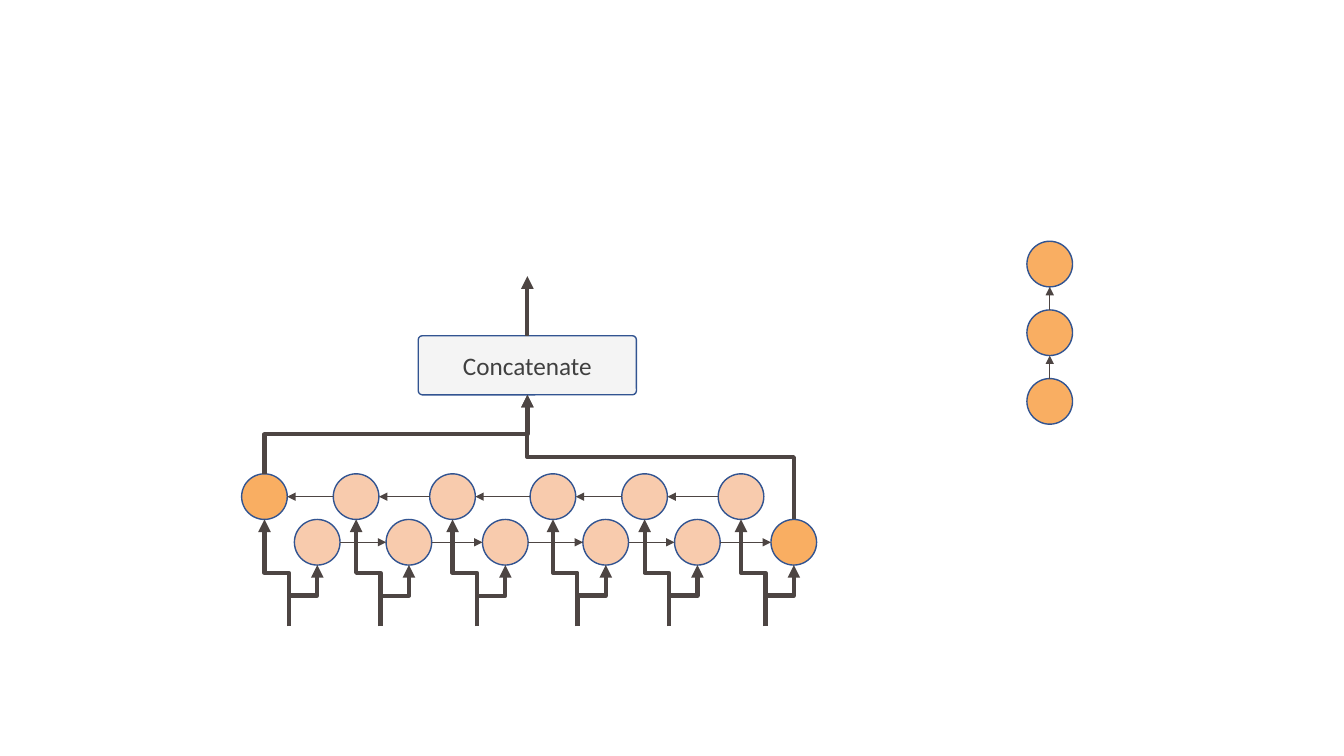
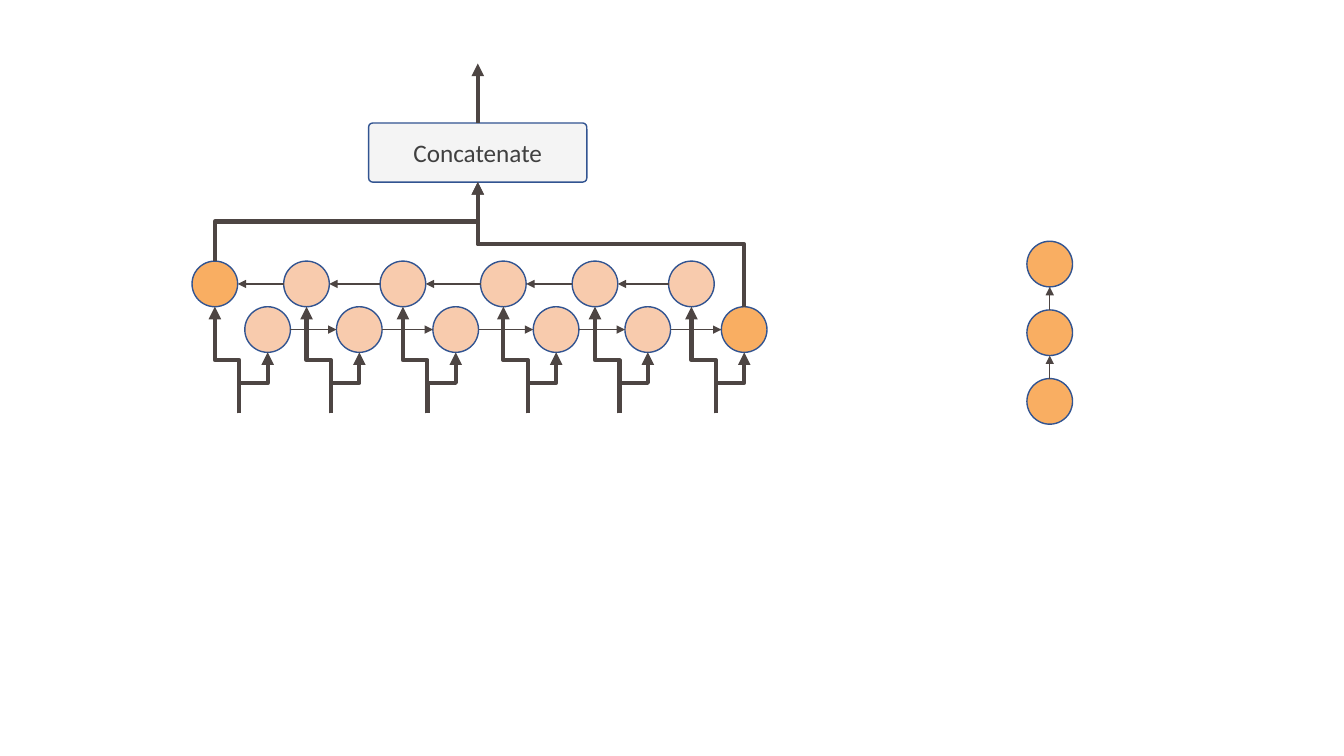
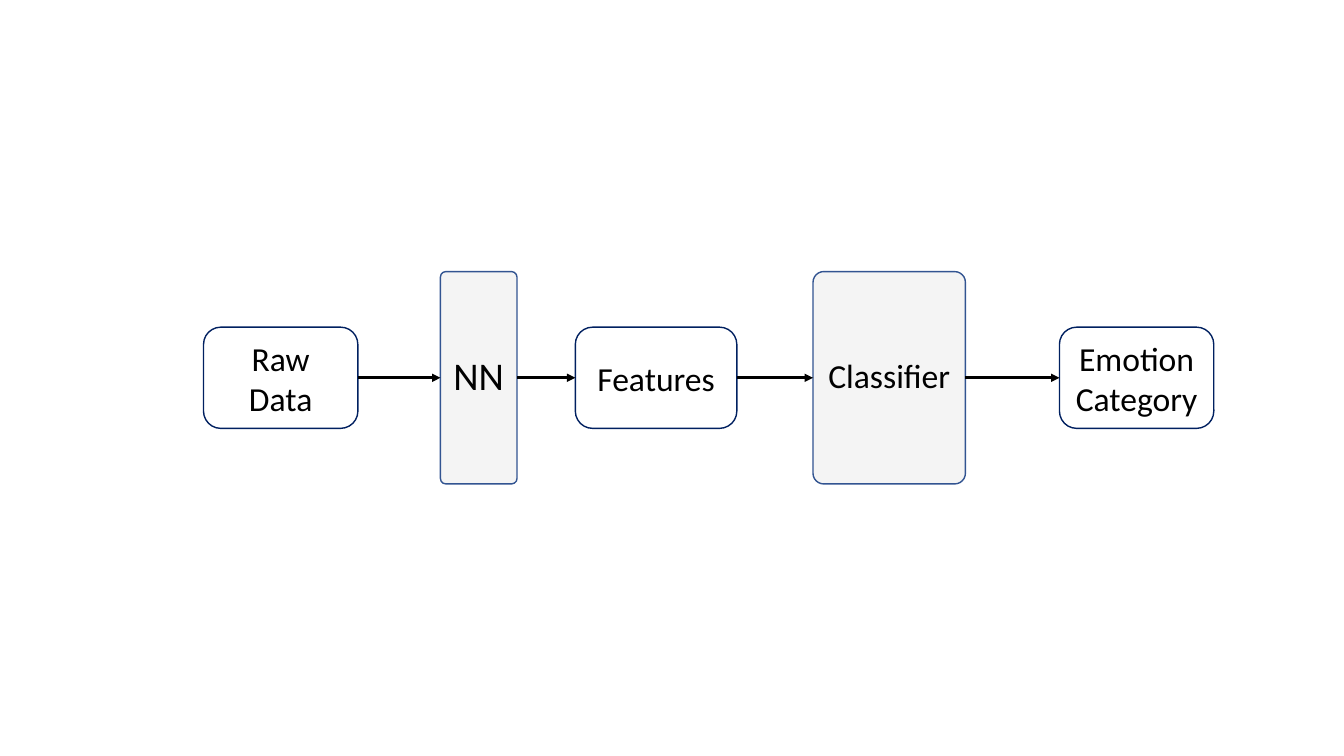
from dataclasses import dataclass
from itertools import pairwise

from pptx import Presentation
from pptx.dml.color import RGBColor
from pptx.enum import shapes, text
from pptx.oxml.ns import qn
from pptx.util import Cm, Pt
from lxml import etree


@dataclass(frozen=True)
class Theme:
    font: str = "Calibri"
    accent: str = "F9AE62"
    soft: str = "F8CBAD"
    panel: str = "F4F4F4"
    white: str = "FFFFFF"
    outline: str = "325491"
    navy: str = "002060"
    wire: str = "4D4543"
    label: str = "404040"
    black: str = "000000"
    small: int = 18
    medium: int = 24
    large: int = 28
    thin: int = 1
    middle: int = 2
    thick: int = 3


THEME = Theme()
NODE = 1.15
PANEL_CORNER = 0.07
PILL_CORNER = 0.17


def add_block(page, kind, left, top, width, height, fill, outline=THEME.outline):
    """Filled, outlined shape without shadow; lengths in centimetres."""
    block = page.shapes.add_shape(kind, Cm(left), Cm(top), Cm(width), Cm(height))
    block.shadow.inherit = False
    block.fill.solid()
    block.fill.fore_color.rgb = RGBColor.from_string(fill)
    block.line.color.rgb = RGBColor.from_string(outline)
    block.line.width = Pt(THEME.thin)
    return block


def add_label_box(page, left, top, width, height, wording, size, fill,
                  corner=PANEL_CORNER, outline=THEME.outline,
                  color=THEME.black, **paragraph_format):
    box = add_block(page, shapes.MSO_SHAPE.ROUNDED_RECTANGLE,
                    left, top, width, height, fill, outline)
    box.adjustments[0] = corner
    box.text_frame.word_wrap = True
    box.text_frame.vertical_anchor = text.MSO_ANCHOR.MIDDLE
    para = box.text_frame.paragraphs[0]
    for name, value in paragraph_format.items():
        setattr(para, name, value)
    span = para.add_run()
    span.text = wording
    for name, value in {"name": THEME.font, "size": Pt(size)}.items():
        setattr(span.font, name, value)
    span.font.color.rgb = RGBColor.from_string(color)
    return box


def add_node(page, left, top, fill):
    return add_block(page, shapes.MSO_SHAPE.OVAL, left, top, NODE, NODE, fill)


def add_arrow(page, start, end, width=THEME.thin, color=THEME.wire,
              kind=shapes.MSO_CONNECTOR.STRAIGHT):
    arrow = page.shapes.add_connector(kind, *map(Cm, (*start, *end)))
    arrow.line.color.rgb = RGBColor.from_string(color)
    arrow.line.width = Pt(width)
    outline = arrow.line._get_or_add_ln()
    etree.SubElement(outline, qn("a:tailEnd"), type="triangle")
    etree.SubElement(arrow.element.spPr, qn("a:effectLst"))
    return arrow


def add_rising_elbow(page, start, end):
    """Elbow arrow that leaves and arrives vertically, turned by a quarter."""
    (x1, y1), (x2, y2) = start, end
    side = 1 if x2 > x1 else -1
    middle_x, middle_y = (x1 + x2) / 2, (y1 + y2) / 2
    half_rise, half_run = side * abs(y2 - y1) / 2, abs(x2 - x1) / 2
    elbow = add_arrow(page, (middle_x + half_rise, middle_y + half_run),
                      (middle_x - half_rise, middle_y - half_run),
                      THEME.thick, kind=shapes.MSO_CONNECTOR.ELBOW)
    degrees = 90 if side > 0 else 270
    elbow.element.spPr.find(qn("a:xfrm")).set("rot", str(degrees * 60000))


def add_bidirectional_network(page, left, top):
    """Backward row over forward row, joined in a box; top is the output tip."""
    columns = [left + x for x in (0, 2.31, 4.74, 7.27, 9.58, 12.01)]
    shift, radius = 1.33, NODE / 2
    backward, forward, foot = top + 4.98, top + 6.13, top + 8.82
    last = len(columns) - 1

    for index, x in enumerate(columns):
        add_node(page, x, backward, THEME.accent if index == 0 else THEME.soft)
        add_node(page, x + shift, forward,
                 THEME.accent if index == last else THEME.soft)
        stem = (x + 1.19, foot)
        add_rising_elbow(page, stem, (x + shift + radius, forward + NODE))
        add_rising_elbow(page, stem, (x + radius, backward + NODE))

    for x, following in pairwise(columns):
        add_arrow(page, (following, backward + radius),
                  (x + NODE, backward + radius))
        add_arrow(page, (x + shift + NODE, forward + radius),
                  (following + shift, forward + radius))

    box_left, box_top, box_width, box_height = left + 4.45, top + 1.5, 5.5, 1.49
    center = box_left + box_width / 2
    add_label_box(page, box_left, box_top, box_width, box_height, "Concatenate",
                  THEME.small, THEME.panel, color=THEME.label,
                  alignment=text.PP_ALIGN.CENTER)
    box_foot = (center, box_top + box_height)
    add_rising_elbow(page, (columns[0] + radius, backward), box_foot)
    add_rising_elbow(page, (columns[-1] + shift + radius, forward), box_foot)
    add_arrow(page, (center, box_top), (center, top), THEME.thick)


def add_node_stack(page, left, top, count=3, step=1.73):
    center = left + NODE / 2
    for index in range(count):
        y = top + index * step
        add_node(page, left, y, THEME.accent)
        if index:
            add_arrow(page, (center, y), (center, y - step + NODE))


def add_network_slide(deck, left, top):
    page = deck.slides.add_slide(deck.slide_layouts[6])
    add_bidirectional_network(page, left, top)
    add_node_stack(page, 25.88, 6.08)


def add_pipeline_slide(deck, middle=9.45):
    """Row of data pills and model panels, all centred on one height."""
    page = deck.slides.add_slide(deck.slide_layouts[6])
    pill = {"height": 2.55, "fill": THEME.white, "outline": THEME.navy,
            "corner": PILL_CORNER, "alignment": text.PP_ALIGN.CENTER}
    panel = {"height": 5.35, "fill": THEME.panel,
             "line_spacing": 0.9, "space_before": Pt(10)}
    steps = [
        ("Raw Data", 5.13, 3.89, THEME.medium, pill),
        ("NN", 11.1, 1.93, THEME.large, panel),
        ("Features", 14.5, 4.07, THEME.medium, pill),
        ("Classifier", 20.49, 3.84, THEME.medium, panel),
        ("Emotion Category", 26.7, 3.89, THEME.medium, pill),
    ]
    boxes = [add_label_box(page, left, middle + 0.07 - style["height"] / 2,
                           width, wording=wording, size=size, **style)
             for wording, left, width, size, style in steps]
    right_site, left_site = 3, 1
    for box, following in pairwise(boxes):
        arrow = add_arrow(page, (0, 0), (1, 0), THEME.middle, THEME.black)
        arrow.begin_connect(box, right_site)
        arrow.end_connect(following, left_site)


def main():
    deck = Presentation()
    deck.slide_width, deck.slide_height = Cm(33.87), Cm(19.05)
    add_network_slide(deck, 6.09, 6.96)
    add_network_slide(deck, 4.84, 1.6)
    add_pipeline_slide(deck)
    deck.save("out.pptx")


if __name__ == "__main__":
    main()
